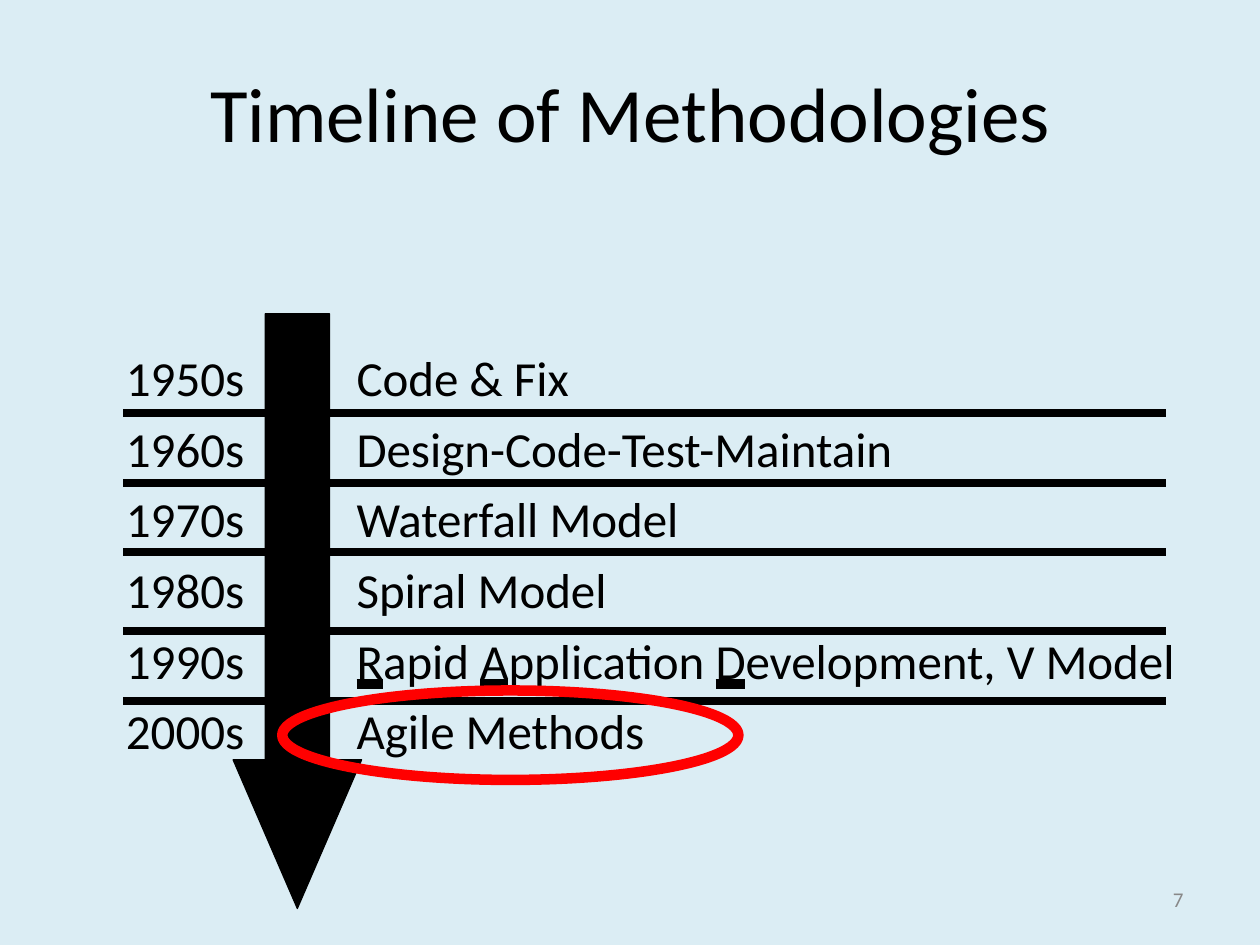
from lxml.etree import SubElement
from pptx import Presentation
from pptx.dml.color import RGBColor
from pptx.enum.shapes import MSO_CONNECTOR, MSO_SHAPE
from pptx.enum.text import MSO_UNDERLINE, PP_ALIGN
from pptx.oxml.ns import qn
from pptx.util import Inches, Pt

# Content
TITLE = "Timeline of Methodologies"
PAGE_NUMBER = "7"
# Each methodology is a list of (text, underlined) pieces
TIMELINE = [
    ("1950s", [("Code & Fix", False)]),
    ("1960s", [("Design-Code-Test-Maintain", False)]),
    ("1970s", [("Waterfall Model", False)]),
    ("1980s", [("Spiral Model", False)]),
    ("1990s", [("R", True), ("apid ", False), ("A", True), ("pplication ", False),
               ("D", True), ("evelopment, V Model", False)]),
    ("2000s", [("Agile Methods", False)]),
]

# Look
FONT = "Calibri"
COLORS = {"background": "DBEDF4", "ink": "000000", "page": "888888", "highlight": "FF0000"}

# Layout in inches
DECADE_LEFT, DECADE_WIDTH = 0.99, 0.97
METHOD_LEFT, METHOD_WIDTH = 2.82, 6.6
FIRST_ROW_TOP, ROW_STEP, ROW_HEIGHT = 2.75, 0.56, 0.49
RULE_LEFT, RULE_RIGHT = 0.98, 9.25
RULE_TOPS = [3.28, 3.83, 4.38, 5.01, 5.56]
ARROW = (1.85, 2.49, 1.02, 4.72)
ARROW_HEAD = 1.18
HIGHLIGHT = (2.24, 5.48, 3.62, 0.71)


def color(name):
    return RGBColor.from_string(COLORS[name])


def add_text(slide, pieces, box, size, ink="ink", align=PP_ALIGN.LEFT):
    frame = slide.shapes.add_textbox(*map(Inches, box)).text_frame
    frame.word_wrap = True
    frame.margin_left = frame.margin_top = Inches(0.01)
    frame.margin_right = frame.margin_bottom = 0
    paragraph = frame.paragraphs[0]
    paragraph.alignment = align
    paragraph.space_before = Pt(1)
    for text, underlined in pieces:
        run = paragraph.add_run()
        run.text = text
        run.font.name = FONT
        run.font.size = Pt(size)
        run.font.color.rgb = color(ink)
        if underlined:
            run.font.underline = MSO_UNDERLINE.HEAVY_LINE


def add_rule(slide, top):
    rule = slide.shapes.add_connector(
        MSO_CONNECTOR.STRAIGHT,
        Inches(RULE_LEFT), Inches(top), Inches(RULE_RIGHT), Inches(top))
    rule.line.color.rgb = color("ink")
    rule.line.width = Pt(4.56)
    SubElement(rule.element.spPr, qn("a:effectLst"))


def add_outlined(slide, kind, box, ink, width):
    shape = slide.shapes.add_shape(kind, *map(Inches, box))
    shape.shadow.inherit = False
    shape.line.color.rgb = color(ink)
    shape.line.width = Pt(width)
    return shape


def main():
    deck = Presentation()
    deck.slide_width, deck.slide_height = Inches(10), Inches(7.5)
    slide = deck.slides.add_slide(deck.slide_layouts[6])
    slide.background.fill.solid()
    slide.background.fill.fore_color.rgb = color("background")

    # Title and page number
    add_text(slide, [(TITLE, False)], (1, 0.51, 8, 0.76), 44, align=PP_ALIGN.CENTER)
    add_text(slide, [(PAGE_NUMBER, False)], (9.3, 7.03, 0.2, 0.23), 12, "page")

    # Decades and their methodologies
    for row, (decade, method) in enumerate(TIMELINE):
        top = FIRST_ROW_TOP + row * ROW_STEP
        add_text(slide, [(decade, False)], (DECADE_LEFT, top, DECADE_WIDTH, ROW_HEIGHT), 28)
        add_text(slide, method, (METHOD_LEFT, top, METHOD_WIDTH, ROW_HEIGHT), 28)

    # Time arrow
    arrow = add_outlined(slide, MSO_SHAPE.DOWN_ARROW, ARROW, "ink", 0.72)
    arrow.fill.solid()
    arrow.fill.fore_color.rgb = color("ink")
    arrow.adjustments[0] = 0.5
    arrow.adjustments[1] = ARROW_HEAD / ARROW[2]

    # Rules between the decades
    for top in RULE_TOPS:
        add_rule(slide, top)

    # Ring around the agile methods
    ring = add_outlined(slide, MSO_SHAPE.OVAL, HIGHLIGHT, "highlight", 6)
    ring.fill.background()

    deck.save("out.pptx")


if __name__ == "__main__":
    main()
